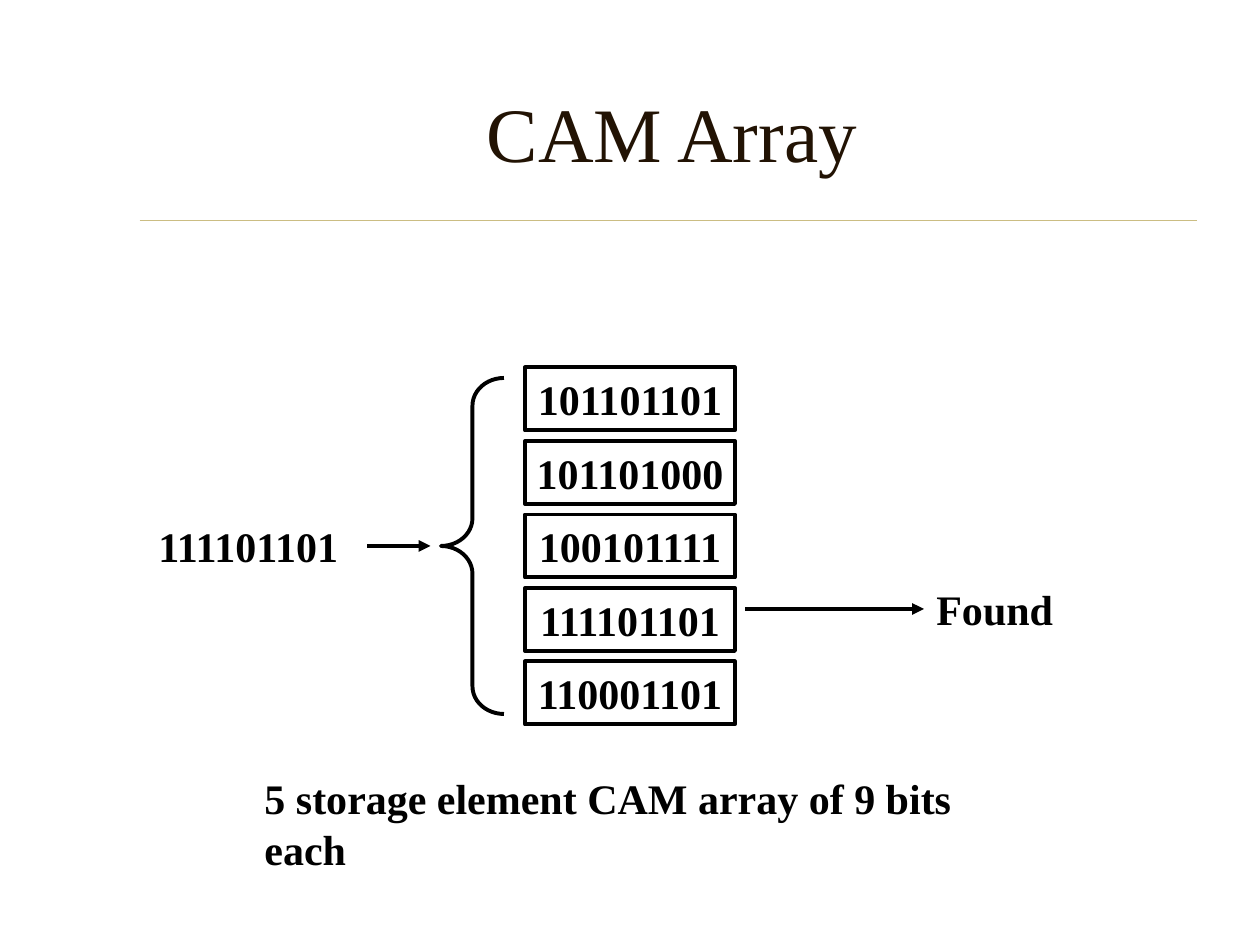
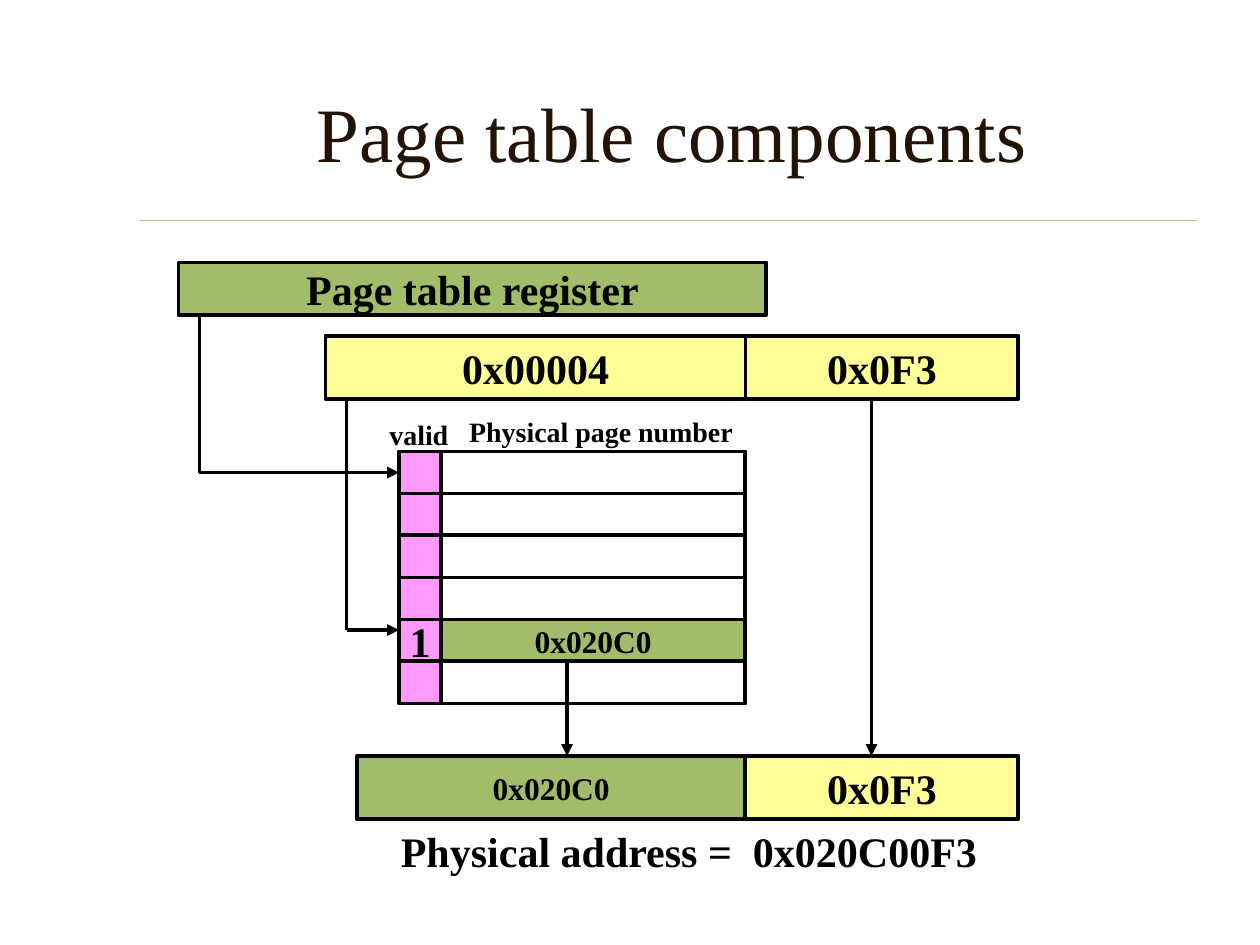
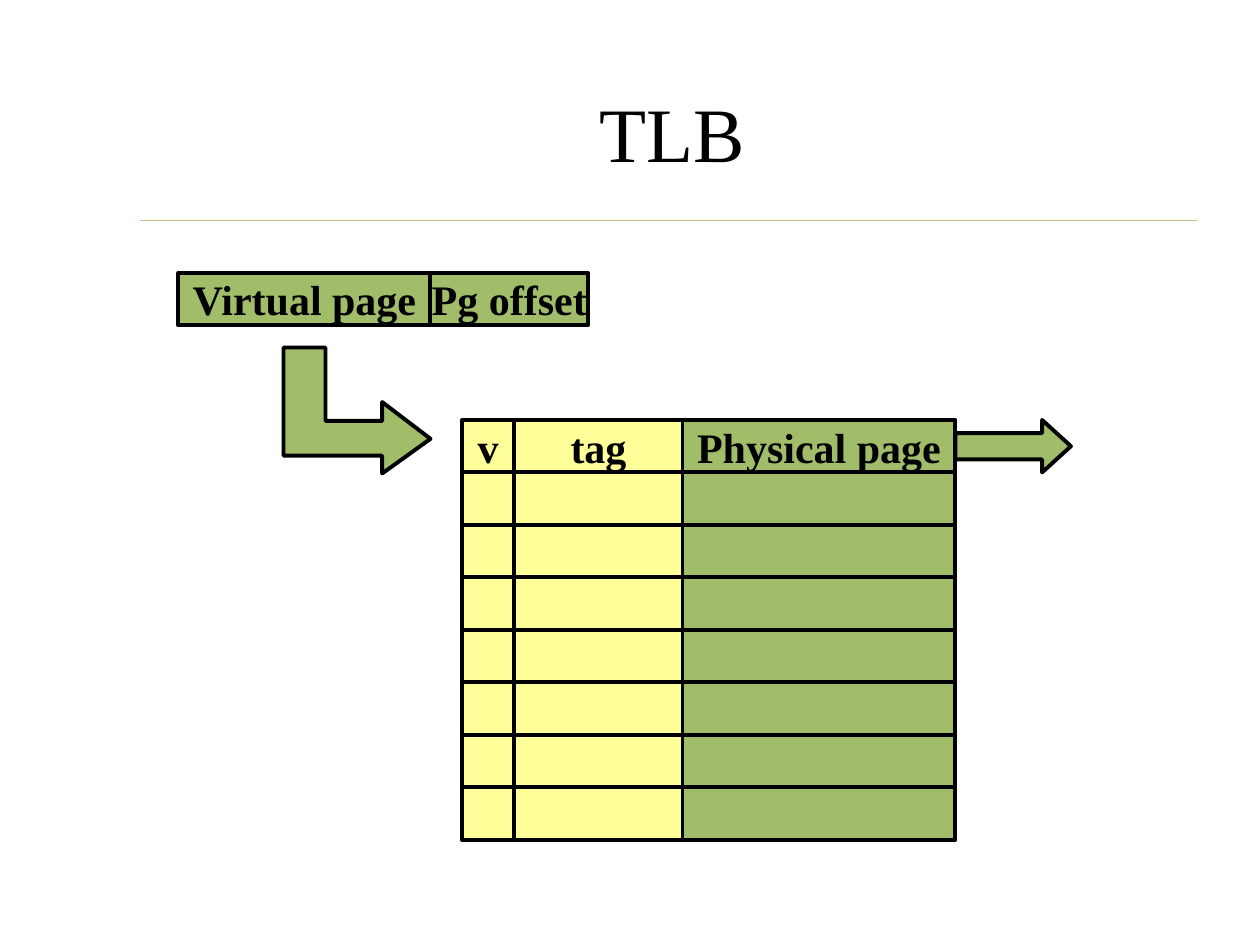
from pptx import Presentation
from pptx.dml.color import RGBColor
from pptx.enum.shapes import MSO_CONNECTOR, MSO_SHAPE
from pptx.enum.text import MSO_ANCHOR, PP_ALIGN
from pptx.oxml.ns import qn
from pptx.util import Inches, Pt
from lxml import etree

RECTANGLE = MSO_SHAPE.RECTANGLE
LEFT_BRACE = MSO_SHAPE.LEFT_BRACE
RIGHT_ARROW = MSO_SHAPE.RIGHT_ARROW
STRAIGHT = MSO_CONNECTOR.STRAIGHT
CENTER, LEFT = PP_ALIGN.CENTER, PP_ALIGN.LEFT
MIDDLE, TOP = MSO_ANCHOR.MIDDLE, MSO_ANCHOR.TOP
LEFT_SIDE = 1

BLACK = RGBColor(0x00, 0x00, 0x00)
BROWN = RGBColor(0x22, 0x13, 0x04)
SAND = RGBColor(0xCB, 0xBD, 0x83)
GREEN = RGBColor(0xA1, 0xBD, 0x69)
YELLOW = RGBColor(0xFF, 0xFF, 0x99)
PINK = RGBColor(0xFF, 0x99, 0xFF)

FONT = "Times New Roman"
COLUMNS, ROWS = 120, 90  # grid of twelve units to the inch
OUTLINE = 2.25

# Content; places are (column, row, width, height) on the grid
STORED_WORDS = ["101101101", "101101000", "100101111", "111101101", "110001101"]
ARRAY_LABELS = [
    ("111101101", (13.9, 49, 20.4, 6), 24),
    ("Found", (88, 55, 13.5, 6), 24),
    ("5 storage element CAM array of 9 bits each", (24, 73, 76.5, 6), 24),
]
ARRAY_ARROWS = [((35, 52), (41, 52)), ((71, 58), (88, 58))]

ADDRESS_BOXES = [
    ("Page table register", (17, 25, 56, 5), GREEN, 24),
    ("0x00004", (31, 32, 40, 6), YELLOW, 24),
    ("0x0F3", (71, 32, 26, 6), YELLOW, 24),
    ("0x020C0", (34, 72, 37, 6), GREEN, 18),
    ("0x0F3", (71, 72, 26, 6), YELLOW, 24),
]
PAGE_ENTRIES = [("", "")] * 4 + [("1", "0x020C0"), ("", "")]
PAGE_LABELS = [
    ("valid", (35.9, 39.2, 8, 4.4), 16),
    ("Physical page number", (43.5, 38.9, 27.5, 4.4), 16),
    ("Physical address =  0x020C00F3", (37, 78, 57.4, 6), 24),
]
PAGE_STEMS = [((19, 30), (19, 45)), ((33, 38), (33, 60))]
PAGE_ARROWS = [((33, 60), (38, 60)), ((54, 63), (54, 72)), ((83, 38), (83, 72))]

VIRTUAL_BOXES = [
    ("Virtual page", (17, 26, 24, 5), GREEN, 24),
    ("Pg offset", (41, 26, 15, 5), GREEN, 24),
]
TLB_COLUMNS = [("v", 5, YELLOW), ("tag", 16, YELLOW), ("Physical page", 26, GREEN)]
TLB_ROWS = 8
BENT_ARROW = [(31, 33.1), (31, 40.1), (36.4, 40.1), (36.4, 38.3), (41, 41.8),
              (36.4, 45.1), (36.4, 43.4), (27, 43.4), (27, 33.1)]

deck = Presentation()
deck.slide_width, deck.slide_height = Inches(10), Inches(7.5)


def grid(column, row):
    return round(column * deck.slide_width / COLUMNS), round(row * deck.slide_height / ROWS)


def place(area):
    return *grid(*area[:2]), *grid(*area[2:])


def write(shape, text, size, bold=True, color=BLACK, align=CENTER, anchor=MIDDLE):
    frame = shape.text_frame
    frame.text = text
    frame.word_wrap = False
    frame.vertical_anchor = anchor
    para = frame.paragraphs[0]
    para.alignment = align
    font = para.runs[0].font
    font.name, font.size, font.bold = FONT, Pt(size), bold
    font.color.rgb = color


def paint(shape, fill=None):
    shape.shadow.inherit = False
    if fill is None:
        shape.fill.background()
    else:
        shape.fill.solid()
        shape.fill.fore_color.rgb = fill
    shape.line.color.rgb = BLACK
    shape.line.width = Pt(OUTLINE)


def add_box(page, text, area, fill=None, size=24, kind=RECTANGLE):
    box = page.shapes.add_shape(kind, *place(area))
    paint(box, fill)
    if text:
        write(box, text, size)
    return box


def add_label(page, text, area, size):
    write(page.shapes.add_textbox(*place(area)), text, size, align=LEFT, anchor=TOP)


def add_line(page, start, end, color=BLACK, width=OUTLINE, arrow=False):
    line = page.shapes.add_connector(STRAIGHT, *grid(*start), *grid(*end))
    line.line.color.rgb = color
    line.line.width = Pt(width)
    if arrow:
        etree.SubElement(line.line._get_or_add_ln(), qn("a:tailEnd"), type="triangle")
    etree.SubElement(line._element.spPr, qn("a:effectLst"))
    return line


def add_page(title, color=BROWN):
    page = deck.slides.add_slide(deck.slide_layouts[6])
    add_line(page, (13.3, 21), (114, 21), SAND, 0.25)
    heading = page.shapes.add_textbox(*place((14, 5, 100, 15)))
    write(heading, title, 44, bold=False, color=color)
    heading.text_frame.word_wrap = True
    return page


def build_cam_array():
    page = add_page("CAM Array")
    for index, word in enumerate(STORED_WORDS):
        add_box(page, word, (50, 35 + 7 * index, 20, 6))
    brace = add_box(page, "", (42, 36, 6, 32), kind=LEFT_BRACE)
    brace.adjustments[0] = 0.44
    for label in ARRAY_LABELS:
        add_label(page, *label)
    for start, end in ARRAY_ARROWS:
        add_line(page, start, end, arrow=True)


def build_page_table():
    page = add_page("Page table components")
    for box in ADDRESS_BOXES:
        add_box(page, *box)
    valid_cells = []
    for index, (valid, number) in enumerate(PAGE_ENTRIES):
        row = 43 + 4 * index
        valid_cells.append(add_box(page, valid, (38, row, 4, 4), PINK))
        add_box(page, number, (42, row, 29, 4), GREEN if number else None, 18)
    for start, end in PAGE_STEMS:
        add_line(page, start, end)
    for start, end in PAGE_ARROWS:
        add_line(page, start, end, arrow=True)
    # The register points at the first entry
    pointer = add_line(page, (19, 45), (38, 45), arrow=True)
    pointer.end_connect(valid_cells[0], LEFT_SIDE)
    for label in PAGE_LABELS:
        add_label(page, *label)


def build_tlb():
    page = add_page("TLB", BLACK)
    for box in VIRTUAL_BOXES:
        add_box(page, *box)
    outline = page.shapes.build_freeform(*grid(*BENT_ARROW[0]))
    outline.add_line_segments([grid(*point) for point in BENT_ARROW[1:]], close=True)
    paint(outline.convert_to_shape(), GREEN)
    # Buffer entries under a header row
    for index in range(TLB_ROWS):
        column = 44
        for heading, width, fill in TLB_COLUMNS:
            text = heading if index == 0 else ""
            add_box(page, text, (column, 40 + 5 * index, width, 5), fill)
            column += width
    result = add_box(page, "", (column, 40, 11, 5), GREEN, kind=RIGHT_ARROW)
    result.adjustments[0], result.adjustments[1] = 0.5, 0.55


def main():
    build_cam_array()
    build_page_table()
    build_tlb()
    deck.save("out.pptx")


if __name__ == "__main__":
    main()
